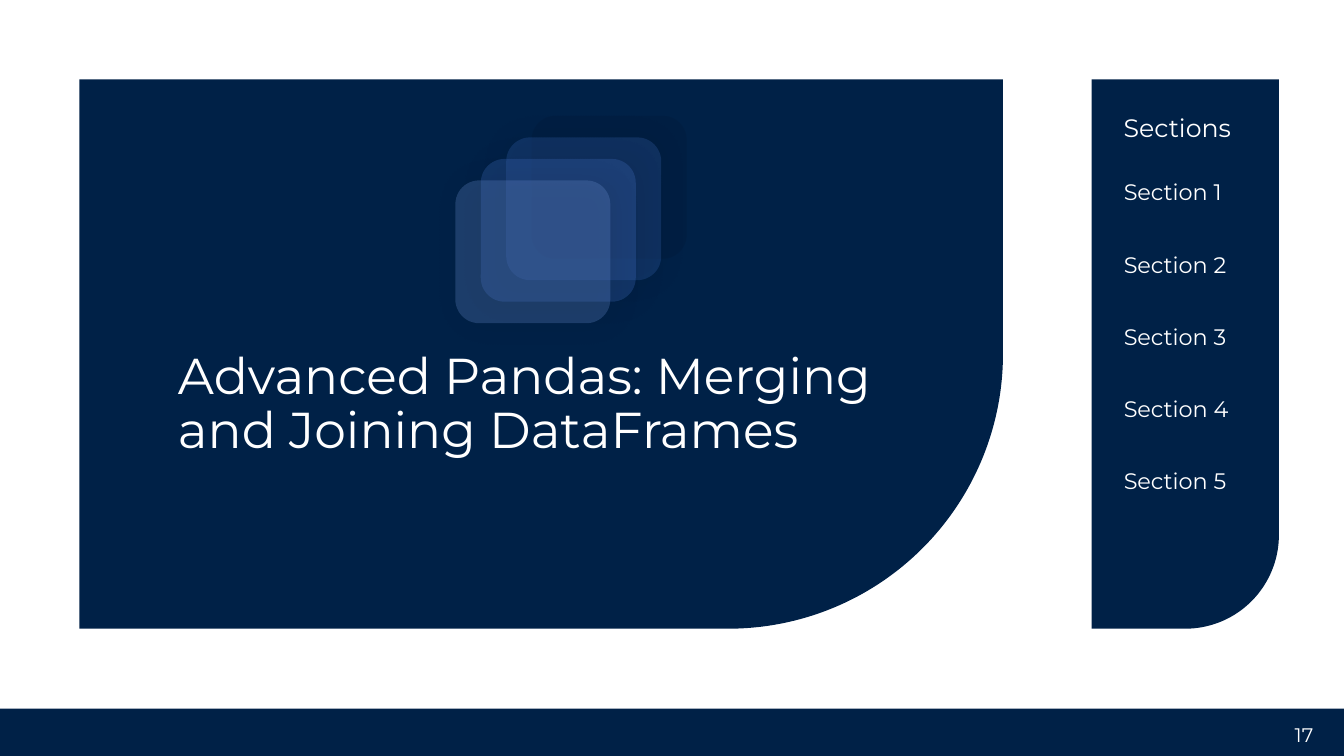
from lxml import etree
from pptx import Presentation
from pptx import util as u
from pptx.dml.color import RGBColor
from pptx.enum import shapes, text
from pptx.oxml import ns

HUES = {
    "navy": "002147", "white": "FFFFFF", "black": "000000",
    "ink": "001935", "royal": "3864B2", "blue": "4371C5", "sky": "698ED1",
}
COLS, ROWS = 160, 90
KIND = shapes.MSO_SHAPE


class Deck:
    """Slide with a 160 by 90 grid; every box is (column, row, columns, rows)."""

    font = "Montserrat"

    def __init__(self):
        self.prs = Presentation()
        self.prs.slide_width = u.Inches(13.33)
        self.prs.slide_height = u.Inches(7.5)
        self.slide = self.prs.slides.add_slide(self.prs.slide_layouts[6])

    def place(self, box):
        x, y = self.prs.slide_width / COLS, self.prs.slide_height / ROWS
        return [int(n * unit) for n, unit in zip(box, (x, y, x, y))]

    def shape(self, kind, box, hue):
        item = self.slide.shapes.add_shape(kind, *self.place(box))
        item.shadow.inherit = False
        item.fill.solid()
        item.fill.fore_color.rgb = RGBColor.from_string(HUES[hue])
        item.line.fill.background()
        return item

    def panel(self, box):
        """Navy panel, its lower right corner fully rounded."""
        item = self.shape(KIND.ROUND_1_RECTANGLE, box, "navy")
        item.adjustments[0] = 0.5
        item.element.spPr.xfrm.set("flipV", "1")

    def tile(self, box, hue, dist=None):
        """Glassy rounded tile; dist is the shadow offset in points."""
        item = self.shape(KIND.ROUNDED_RECTANGLE, box, hue)
        props = item.element.spPr
        self.fade(props.find(".//" + ns.qn("a:srgbClr")), 27)
        if dist is not None:
            glow = etree.SubElement(
                props.find(ns.qn("a:effectLst")), ns.qn("a:outerShdw"),
                blurRad=str(u.Pt(21)), dist=str(u.Pt(dist)), dir="0",
                algn="ctr", rotWithShape="0")
            tint = etree.SubElement(glow, ns.qn("a:srgbClr"), val=HUES["black"])
            self.fade(tint, 20)

    def fade(self, tint, share):
        """Set the opacity of a colour in percent."""
        etree.SubElement(tint, ns.qn("a:alpha"), val=str(share * 1000))

    def label(self, box, words, size, lead=0.9, before=0, align="LEFT"):
        frame = self.slide.shapes.add_textbox(*self.place(box)).text_frame
        frame.word_wrap = True
        frame.vertical_anchor = text.MSO_ANCHOR.MIDDLE
        para = frame.paragraphs[0]
        para.alignment = text.PP_ALIGN[align]
        para.line_spacing = lead
        para.space_before = u.Pt(before)
        run = para.add_run()
        run.text = words
        run.font.name = self.font
        run.font.size = u.Pt(size)
        run.font.color.rgb = RGBColor.from_string(HUES["white"])


def main():
    deck = Deck()
    deck.shape(KIND.RECTANGLE, (0, 84.36, COLS, 5.64), "navy")
    deck.label((152, 85.8, 6.5, 3.4), "17", 14, lead=1, align="CENTER")

    for left, width in ((9.45, 109.95), (129.95, 22.3)):
        deck.panel((left, 9.45, width, 65.4))

    deck.label((132.6, 12.6, 17.2, 5.64), "Sections", 18)
    deck.label((20, 40, 96, 16.5),
               "Advanced Pandas: Merging and Joining DataFrames", 36)
    for i in range(5):
        deck.label((132.6, 20.15 + 8.61 * i, 16.3, 5.76),
                   f"Section {i + 1}", 16, before=10)

    tiles = (("ink", None), ("royal", 0), ("blue", 4), ("sky", 4))
    for i, (hue, dist) in enumerate(tiles):
        deck.tile((63.3 - 3.03 * i, 13.8 + 2.56 * i, 18.45, 17), hue, dist)

    deck.prs.save("out.pptx")


if __name__ == "__main__":
    main()
